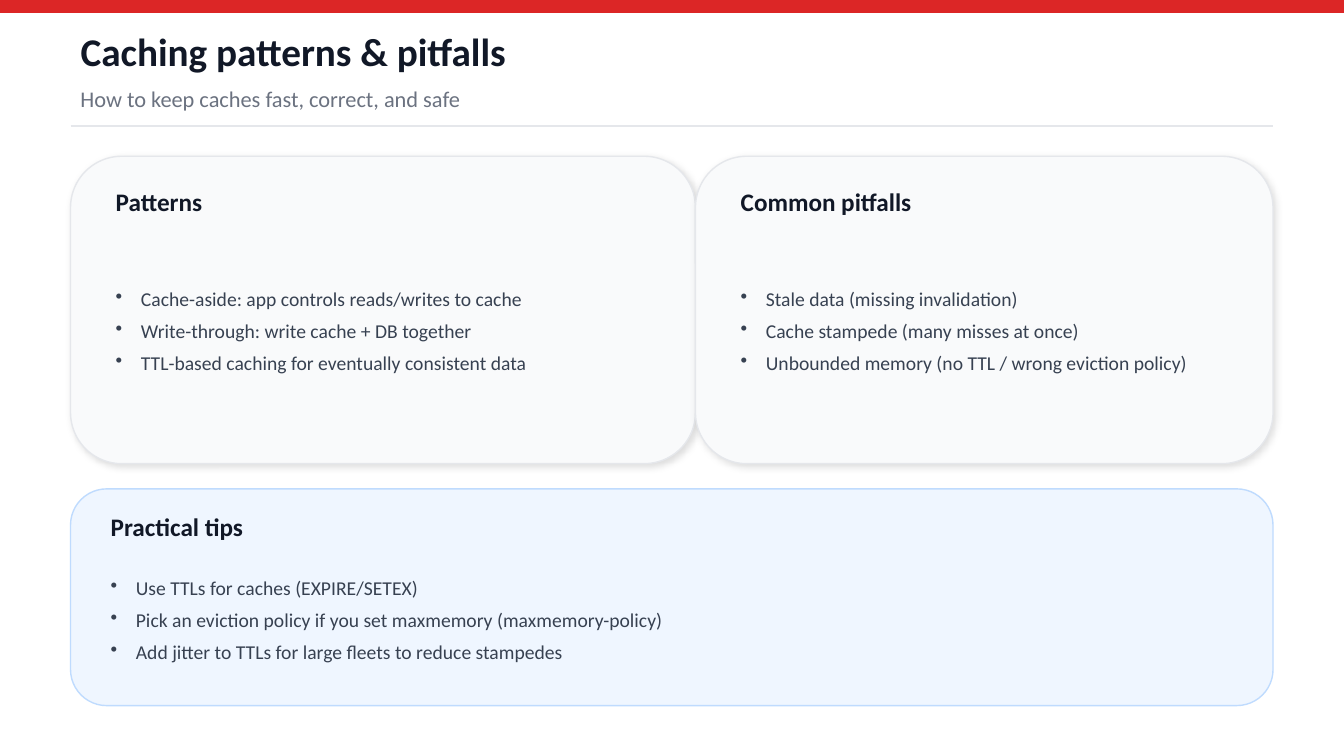
"""Build the slide on caching patterns and pitfalls."""
from lxml.etree import SubElement
from pptx import Presentation
from pptx.dml.color import RGBColor
from pptx.enum.shapes import MSO_CONNECTOR, MSO_SHAPE
from pptx.enum.text import MSO_ANCHOR, MSO_AUTO_SIZE, PP_ALIGN
from pptx.oxml.ns import qn
from pptx.util import Pt

TITLE = "Caching patterns & pitfalls"
SUBTITLE = "How to keep caches fast, correct, and safe"
FONT = "Calibri"
RED, INK, BODY, MUTED, RULE = "DC2626", "111827", "374151", "6B7280", "E5E7EB"
SLIDE_WIDTH, SLIDE_HEIGHT = 960, 540
LEFT, CONTENT_WIDTH = 50.4, 858.96
INDENT = 18

TOP_CARD = {"fill": "F9FAFB", "line": RULE, "shadow": True, "inset": 25.2,
            "heading": (18, 28.8), "list": (56.16, 136.8)}
TIPS_CARD = {"fill": "EFF6FF", "line": "BFDBFE", "shadow": False, "inset": 21.6,
             "heading": (14.4, 25.2), "list": (43.2, 100.8)}

CARDS = [
    ("Patterns",
     ["Cache-aside: app controls reads/writes to cache",
      "Write-through: write cache + DB together",
      "TTL-based caching for eventually consistent data"],
     (LEFT, 111.6, 446.4, 219.6), 396, TOP_CARD),
    ("Common pitfalls",
     ["Stale data (missing invalidation)",
      "Cache stampede (many misses at once)",
      "Unbounded memory (no TTL / wrong eviction policy)"],
     (LEFT + 446.4, 111.6, CONTENT_WIDTH - 446.4, 219.6), 362.16, TOP_CARD),
    ("Practical tips",
     ["Use TTLs for caches (EXPIRE/SETEX)",
      "Pick an eviction policy if you set maxmemory (maxmemory-policy)",
      "Add jitter to TTLs for large fleets to reduce stampedes"],
     (LEFT, 349.2, CONTENT_WIDTH, 154.8), 835.2, TIPS_CARD),
]


def color(value):
    return RGBColor.from_string(value)


def place(box, area):
    box.left, box.top, box.width, box.height = map(Pt, area)


def add_bullet(para):
    properties = para._p.get_or_add_pPr()
    properties.set("marL", str(Pt(INDENT)))
    properties.set("indent", str(-Pt(INDENT)))
    SubElement(properties, qn("a:buChar"), char="•")


def add_text(slide, lines, area, size=14, ink=BODY, bold=False, bullets=False, box=None):
    box = box or slide.shapes.add_textbox(0, 0, 0, 0)
    place(box, area)
    frame = box.text_frame
    frame.word_wrap = True
    frame.auto_size = MSO_AUTO_SIZE.NONE
    frame.vertical_anchor = MSO_ANCHOR.MIDDLE
    for number, line in enumerate(lines):
        para = frame.add_paragraph() if number else frame.paragraphs[0]
        para.alignment = PP_ALIGN.LEFT
        if bullets:
            para.space_after = Pt(6)
            add_bullet(para)
        span = para.add_run()
        span.text = line
        span.font.name, span.font.size, span.font.bold = FONT, Pt(size), bold
        span.font.color.rgb = color(ink)


def add_panel(slide, kind, area, fill, line, shadow=False):
    panel = slide.shapes.add_shape(kind, *map(Pt, area))
    panel.fill.solid()
    panel.fill.fore_color.rgb = color(fill)
    panel.line.color.rgb = color(line)
    panel.line.width = Pt(1)
    panel.shadow.inherit = False
    if shadow:
        effects = panel._element.spPr.find(qn("a:effectLst"))
        outer = SubElement(effects, qn("a:outerShdw"), blurRad=str(Pt(5)), dist=str(Pt(2)),
                           dir=str(45 * 60000), algn="bl", rotWithShape="0")
        tint = SubElement(outer, qn("a:srgbClr"), val="000000")
        SubElement(tint, qn("a:alpha"), val="12000")


def add_card(slide, heading, items, area, text_width, style):
    left, top = area[:2]
    add_panel(slide, MSO_SHAPE.ROUNDED_RECTANGLE, area,
              style["fill"], style["line"], style["shadow"])
    text_left = left + style["inset"]
    offset, height = style["heading"]
    add_text(slide, [heading], (text_left, top + offset, text_width, height),
             size=18, ink=INK, bold=True)
    offset, height = style["list"]
    add_text(slide, items, (text_left, top + offset, text_width, height), bullets=True)


def main():
    deck = Presentation()
    deck.slide_width, deck.slide_height = Pt(SLIDE_WIDTH), Pt(SLIDE_HEIGHT)
    slide = deck.slides.add_slide(deck.slide_layouts[5])
    add_panel(slide, MSO_SHAPE.RECTANGLE, (0, 0, SLIDE_WIDTH, 8.64), RED, RED)
    add_text(slide, [TITLE], (LEFT, 18, CONTENT_WIDTH, 36),
             size=28, ink=INK, bold=True, box=slide.shapes.title)
    add_text(slide, [SUBTITLE], (LEFT, 56.16, CONTENT_WIDTH, 28.8), size=16, ink=MUTED)
    rule = slide.shapes.add_connector(MSO_CONNECTOR.STRAIGHT, Pt(LEFT), Pt(90),
                                      Pt(LEFT + CONTENT_WIDTH), Pt(90))
    rule.line.color.rgb = color(RULE)
    rule.line.width = Pt(1)
    SubElement(rule._element.spPr, qn("a:effectLst"))
    for card in CARDS:
        add_card(slide, *card)
    deck.save("out.pptx")


if __name__ == "__main__":
    main()
